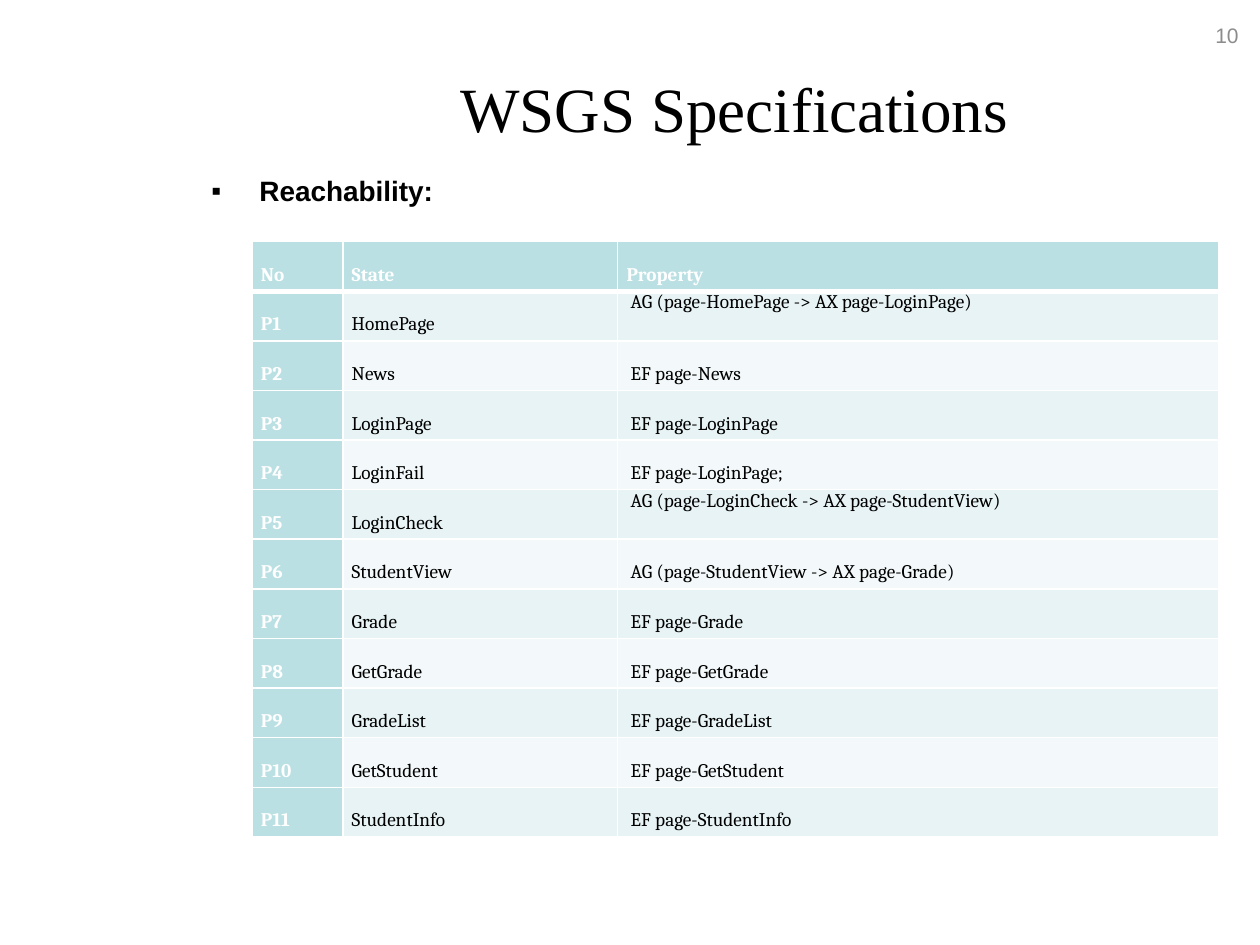
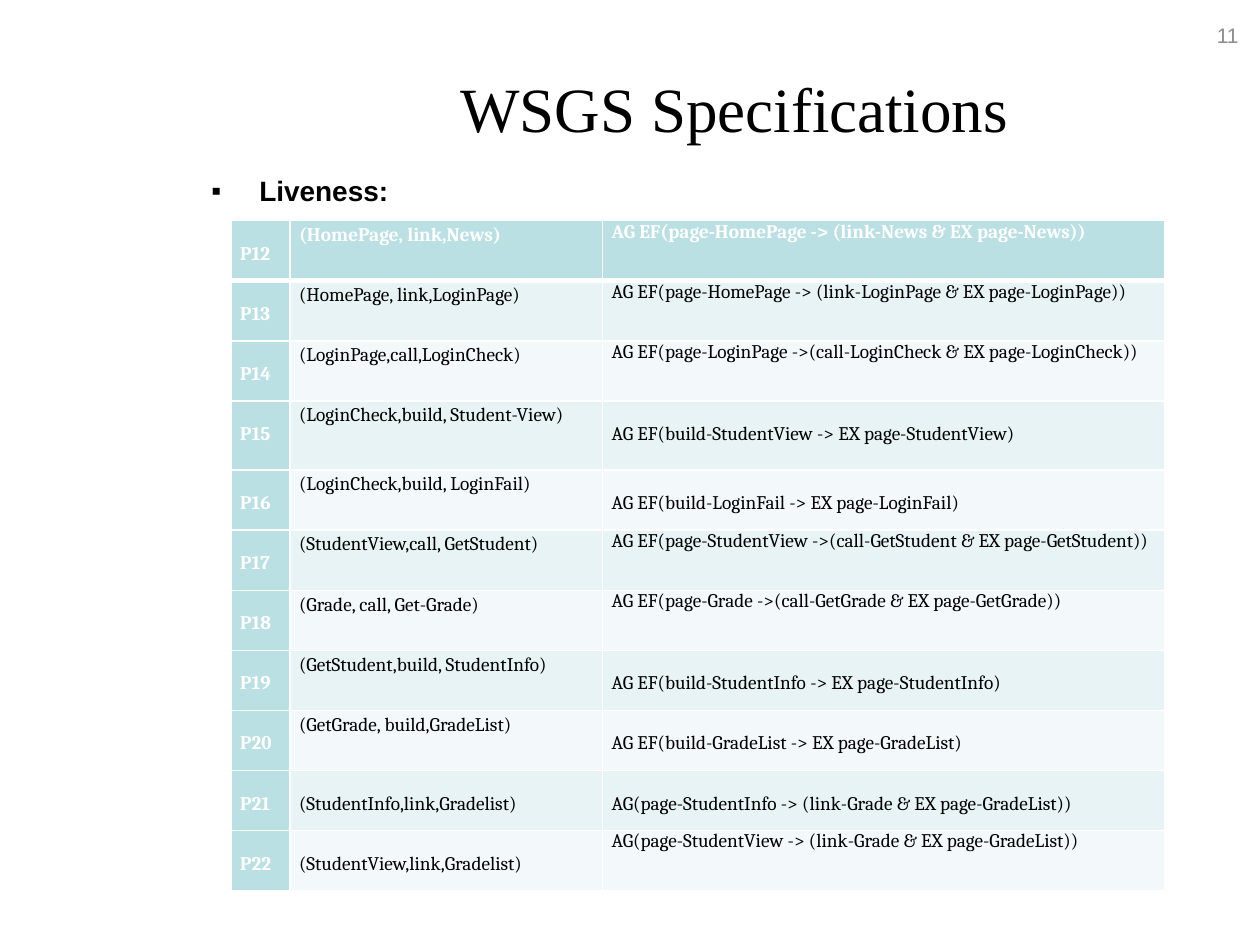
from lxml import etree
from pptx import Presentation
from pptx.dml.color import RGBColor
from pptx.enum import text as t
from pptx.oxml import ns
from pptx.util import Cm, Pt

BLACK = RGBColor(0x00, 0x00, 0x00)
WHITE = RGBColor(0xFF, 0xFF, 0xFF)
GRAY = RGBColor(0x8C, 0x8C, 0x8C)
TEAL = RGBColor(0xBB, 0xE0, 0xE3)
BANDS = (RGBColor(0xE7, 0xF3, 0xF4), RGBColor(0xF3, 0xF9, 0xFA))

TITLE = "WSGS Specifications"
TITLE_BOX = (4.01, 1.27, 21.59, 3.18)
HEADING_BOX = (4.01, 3.38, 21.59, 15.04)
NUMBER_BOX = (24.1, 0.33, 1.12, 0.74)
BULLET_INDENT = Cm(0.97)

SINGLE, LOOSE, DOUBLE = 1.0, 1.15, 2.0

# Each row: state, property, line spacing of each of the two cells
REACHABILITY = [
    ("HomePage", " AG (page-HomePage -> AX page-LoginPage)", DOUBLE, SINGLE),
    ("News ", " EF page-News", DOUBLE, DOUBLE),
    ("LoginPage", " EF page-LoginPage", DOUBLE, DOUBLE),
    ("LoginFail", " EF page-LoginPage;", DOUBLE, DOUBLE),
    ("LoginCheck", " AG (page-LoginCheck -> AX page-StudentView)", DOUBLE, SINGLE),
    ("StudentView", " AG (page-StudentView -> AX page-Grade)", DOUBLE, DOUBLE),
    ("Grade", " EF page-Grade", DOUBLE, DOUBLE),
    ("GetGrade", " EF page-GetGrade", DOUBLE, DOUBLE),
    ("GradeList", " EF page-GradeList", DOUBLE, DOUBLE),
    ("GetStudent", " EF page-GetStudent", DOUBLE, DOUBLE),
    ("StudentInfo", " EF page-StudentInfo", DOUBLE, DOUBLE),
]
LIVENESS = [
    ("(HomePage, link,News)",
     "AG EF(page-HomePage -> (link-News & EX page-News))", LOOSE, SINGLE),
    ("(HomePage, link,LoginPage)",
     "AG EF(page-HomePage -> (link-LoginPage & EX page-LoginPage))", LOOSE, SINGLE),
    ("(LoginPage,call,LoginCheck)",
     "AG EF(page-LoginPage ->(call-LoginCheck & EX page-LoginCheck))", LOOSE, SINGLE),
    ("(LoginCheck,build, Student-View)",
     "AG EF(build-StudentView -> EX page-StudentView)", LOOSE, DOUBLE),
    ("(LoginCheck,build, LoginFail)",
     "AG EF(build-LoginFail -> EX page-LoginFail)", LOOSE, DOUBLE),
    ("(StudentView,call, GetStudent)",
     "AG EF(page-StudentView ->(call-GetStudent & EX page-GetStudent))", LOOSE, SINGLE),
    ("(Grade, call, Get-Grade)",
     "AG EF(page-Grade ->(call-GetGrade & EX page-GetGrade))", LOOSE, SINGLE),
    ("(GetStudent,build, StudentInfo)",
     "AG EF(build-StudentInfo -> EX page-StudentInfo)", LOOSE, DOUBLE),
    ("(GetGrade, build,GradeList)",
     "AG EF(build-GradeList -> EX page-GradeList)", LOOSE, DOUBLE),
    ("(StudentInfo,link,Gradelist)",
     "AG(page-StudentInfo -> (link-Grade & EX page-GradeList))", DOUBLE, DOUBLE),
    ("(StudentView,link,Gradelist)",
     "AG(page-StudentView -> (link-Grade & EX page-GradeList))", DOUBLE, SINGLE),
]


def numbered(rows, first):
    """Put P-numbers, always double spaced, in front of the rows."""
    return [((f"P{n}", state, prop), (DOUBLE, *spacing))
            for n, (state, prop, *spacing) in enumerate(rows, first)]


def write(tf, words, font, size, color, bold=False, align=t.PP_ALIGN.LEFT):
    p = tf.paragraphs[0]
    p.text = words
    p.alignment = align
    f = p.runs[0].font
    f.name, f.size, f.bold = font, Pt(size), bold
    f.color.rgb = color
    return p


def add_title(s, box):
    sp = s.shapes.title
    sp.left, sp.top, sp.width, sp.height = map(Cm, box)
    tf = sp.text_frame
    tf.auto_size = t.MSO_AUTO_SIZE.NONE
    tf.vertical_anchor = t.MSO_ANCHOR.TOP
    write(tf, TITLE, "Times New Roman", 36, BLACK, align=t.PP_ALIGN.CENTER)


def add_number(s, box, number):
    tf = s.shapes.add_textbox(*map(Cm, box)).text_frame
    tf.word_wrap = True
    tf.vertical_anchor = t.MSO_ANCHOR.MIDDLE
    write(tf, str(number), "Arial", 12, GRAY, align=t.PP_ALIGN.RIGHT)


def add_heading(s, box, words):
    tf = s.shapes.add_textbox(*map(Cm, box)).text_frame
    tf.word_wrap = True
    p = write(tf, words, "Arial", 16, BLACK, bold=True)
    p.space_before = Pt(3.2)
    pPr = p._p.get_or_add_pPr()
    pPr.set("marL", str(BULLET_INDENT))
    pPr.set("indent", str(-BULLET_INDENT))
    etree.SubElement(pPr, ns.qn("a:buFont"), typeface="Arial")
    etree.SubElement(pPr, ns.qn("a:buChar"), char="▪")


def add_borders(cell, top, bottom):
    """White borders; top and bottom are widths in points."""
    tcPr = cell._tc.get_or_add_tcPr()
    for side, width in (("L", 1), ("R", 1), ("T", top), ("B", bottom)):
        ln = etree.SubElement(tcPr, ns.qn(f"a:ln{side}"), w=str(Pt(width)))
        fill = etree.SubElement(ln, ns.qn("a:solidFill"))
        etree.SubElement(fill, ns.qn("a:srgbClr"), val=str(WHITE))


def add_properties(s, left, top, widths, heights, rows):
    """Table whose first row and first column are headers."""
    frame = s.shapes.add_table(len(rows), len(widths), Cm(left), Cm(top),
                               Cm(sum(widths)), Cm(sum(heights)))
    table = frame.table
    table.first_row = table.horz_banding = False
    for col, width in zip(table.columns, widths):
        col.width = Cm(width)
    for i, (words, spacings) in enumerate(rows):
        table.rows[i].height = Cm(heights[i])
        for j, (word, spacing) in enumerate(zip(words, spacings)):
            cell = table.cell(i, j)
            header = i == 0 or j == 0
            add_borders(cell, 3 if i == 1 else 1, 3 if i == 0 else 1)
            cell.fill.solid()
            cell.fill.fore_color.rgb = TEAL if header else BANDS[(i - 1) % 2]
            cell.margin_left = cell.margin_right = Cm(0.18)
            cell.margin_top = cell.margin_bottom = 0
            align = t.PP_ALIGN.JUSTIFY if spacing == DOUBLE else t.PP_ALIGN.LEFT
            p = write(cell.text_frame, word, "Cambria", 11,
                      WHITE if header else BLACK, header, align)
            p.line_spacing = spacing


def add_spec_slide(prs, number, heading, *table):
    s = prs.slides.add_slide(prs.slide_layouts[5])
    add_number(s, NUMBER_BOX, number)
    add_title(s, TITLE_BOX)
    add_heading(s, HEADING_BOX, heading)
    add_properties(s, *table)


def main():
    prs = Presentation()
    prs.slide_width, prs.slide_height = Cm(25.4), Cm(19.05)
    header = (("No", "State", "Property"), (DOUBLE,) * 3)
    add_spec_slide(prs, 10, "Reachability:", 5.08, 4.87, (1.83, 5.54, 12.12),
                   [1.0] * 12, [header] + numbered(REACHABILITY, 1))
    add_spec_slide(prs, 11, "Liveness:", 4.66, 4.45, (1.19, 6.3, 11.33),
                   [1.21] * 3 + [1.4] + [1.21] * 7, numbered(LIVENESS, 12))
    prs.save("out.pptx")


if __name__ == "__main__":
    main()
